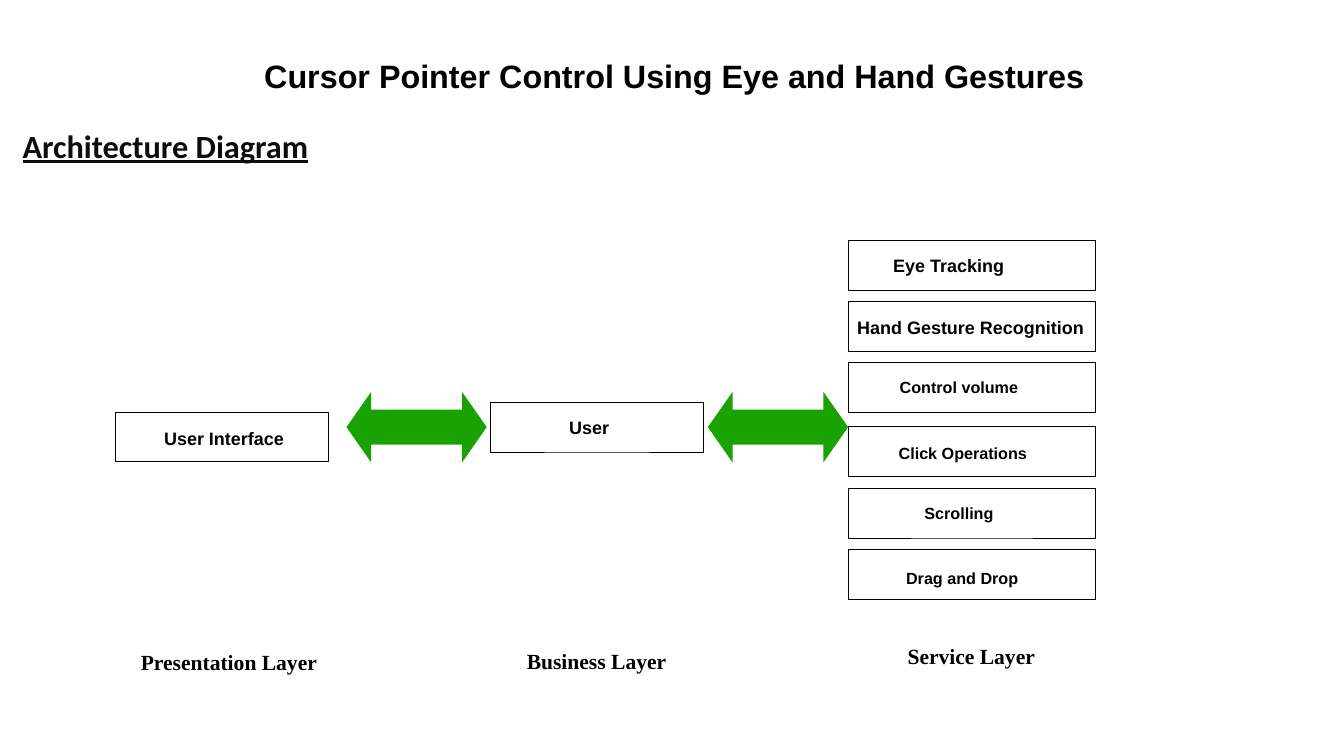
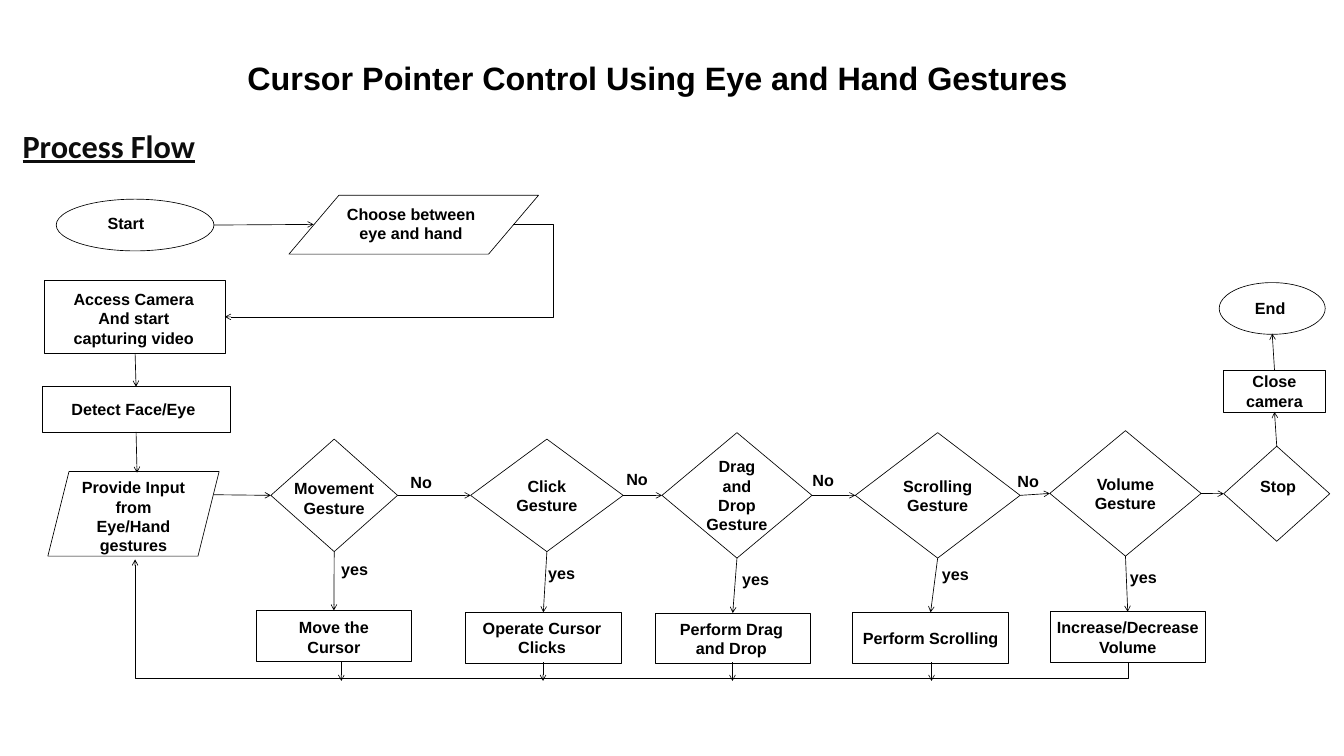
from lxml import etree
from pptx import Presentation
from pptx import util as u
from pptx.dml.color import RGBColor
from pptx.enum import shapes, text
from pptx.oxml.ns import qn

PX = 9144  # EMU per px, 100 px to the inch
BLACK = RGBColor(0x00, 0x00, 0x00)
HEADING = RGBColor(0x0D, 0x0D, 0x0D)
GREEN = RGBColor(0x18, 0xA3, 0x03)
TITLE = "Cursor Pointer Control Using Eye and Hand Gestures"
BODY_FONT = "Arial"
LAYER_FONT = "Times New Roman"

KIND = shapes.MSO_SHAPE
RECT, OVAL, DIAMOND = KIND.RECTANGLE, KIND.OVAL, KIND.DIAMOND
TOP, LEFT, BOTTOM, RIGHT = range(4)  # connection sites of rectangles and diamonds

# Architecture: label, left, top, width, height, text shift, font size
COMPONENTS = [
    ("User Interface", 179, 637, 329, 77, (3, 2), 20),
    ("User", 759, 622, 329, 77, (-12, 1), 20),
]
SERVICE_LEFT, SERVICE_WIDTH, SERVICE_HEIGHT = 1312, 383, 77
SERVICES = [  # label, top, text shift, font size
    ("Eye Tracking", 372, (-36, 0), 20),
    ("Hand Gesture Recognition", 466, (-2, 2), 20),
    ("Control volume", 560, (-20, 0), 18),
    ("Click Operations", 660, (-14, 2), 18),
    ("Scrolling", 755, (-20, 0), 18),
    ("Drag and Drop", 850, (-15, 5), 18),
]
EXCHANGE_LEFTS = (536, 1095)
LAYERS = [
    ("Presentation Layer", 208, 998, 295),
    ("Business Layer", 805, 997, 238),
    ("Service Layer", 1394, 990, 219),
]

# Process flow: kind, (left, top, width, height), lines, text shift
STEPS = {
    "start": (OVAL, (87, 308, 244, 80), "Start", (-14, -3)),
    "choose": (KIND.FLOWCHART_DATA, (447, 302, 386, 91),
               "Choose between\neye and hand", (-4, -2)),
    "access": (RECT, (69, 434, 280, 112),
               "Access Camera\nAnd start\ncapturing video", (-2, 2)),
    "detect": (RECT, (65, 598, 291, 70), "Detect Face/Eye", (-4, 0)),
    "input": (KIND.PARALLELOGRAM, (74, 729, 265, 131),
              "Provide Input\nfrom\nEye/Hand\ngestures", (0, 4)),
    "movement?": (DIAMOND, (419, 679, 196, 174), "Movement\nGesture", (0, 4)),
    "click?": (DIAMOND, (728, 679, 236, 174), "Click\nGesture", (0, 0)),
    "drag?": (DIAMOND, (1024, 669, 232, 194), "Drag\nand\nDrop\nGesture", (0, 0)),
    "scroll?": (DIAMOND, (1323, 669, 255, 194), "Scrolling\nGesture", (0, 0)),
    "volume?": (DIAMOND, (1624, 666, 234, 194), "Volume\nGesture", (0, 0)),
    "stop": (DIAMOND, (1893, 690, 164, 147), "Stop", (2, -12)),
    "movement": (RECT, (396, 944, 241, 78), "Move the\nCursor", (0, 2)),
    "click": (RECT, (720, 947, 241, 78), "Operate Cursor\nClicks", (-2, 0)),
    "drag": (RECT, (1013, 948, 241, 78), "Perform Drag\nand Drop", (-2, 0)),
    "scroll": (RECT, (1319, 947, 241, 78), "Perform Scrolling", (0, 0)),
    "volume": (RECT, (1624, 946, 241, 78), "Increase/Decrease\nVolume", (0, 0)),
    "close": (RECT, (1893, 572, 157, 65), "Close\ncamera", (0, 0)),
    "end": (OVAL, (1886, 437, 164, 80), "End", (-3, 0)),
}
DECISIONS = ["movement?", "click?", "drag?", "scroll?", "volume?"]
# An end is a (step, site) pair or an (x, y) point
FLOWS = [
    ((331, 348), (485, 347)),
    (("access", BOTTOM), ("detect", TOP)),
    (("detect", BOTTOM), (212, 731)),
    ((331, 765), ("movement?", LEFT)),
    (("stop", TOP), ("close", BOTTOM)),
    (("close", TOP), (1968, 516)),
]
FLOWS += [((a, RIGHT), (b, LEFT)) for a, b in zip(DECISIONS, DECISIONS[1:] + ["stop"])]
FLOWS += [((d, BOTTOM), (d.rstrip("?"), TOP)) for d in DECISIONS]
FLOWS += [((x, 1024), (x, 1053)) for x in (528, 840, 1133, 1441)]
ANSWERS = {
    "yes": (62, [(518, 860), (838, 866), (1138, 875), (1447, 868), (1738, 873)]),
    "No": (54, [(625, 725), (959, 721), (1247, 722), (1564, 724)]),
}


def px(*lengths):
    return [u.Emu(round(length * PX)) for length in lengths]


def write(frame, content, size, font=BODY_FONT, color=BLACK, align=None, underline=None):
    frame.text = content
    for paragraph in frame.paragraphs:
        paragraph.alignment = align
        paragraph.font.name, paragraph.font.size = font, u.Pt(size)
        paragraph.font.bold, paragraph.font.underline = True, underline
        paragraph.font.color.rgb = color


def add_label(slide, content, x, y, width, height, size, **style):
    frame = slide.shapes.add_textbox(*px(x, y, width, height)).text_frame
    frame.word_wrap = True
    write(frame, content, size, **style)


def add_node(slide, kind, box, content, shift, size=18):
    """Outlined shape; its centred text is moved by shift through the margins."""
    node = slide.shapes.add_shape(kind, *px(*box))
    node.shadow.inherit = False
    node.fill.background()
    node.line.color.rgb, node.line.width = BLACK, u.Pt(0.75)
    frame = node.text_frame
    frame.word_wrap = False
    frame.vertical_anchor = text.MSO_ANCHOR.MIDDLE
    dx, dy = shift
    frame.margin_left, frame.margin_right = px(10 + max(2 * dx, 0), 10 + max(-2 * dx, 0))
    frame.margin_top, frame.margin_bottom = px(5 + max(2 * dy, 0), 5 + max(-2 * dy, 0))
    write(frame, content, size, align=text.PP_ALIGN.CENTER)
    return node


def add_arrow(slide, kind, start, end):
    arrow = slide.shapes.add_connector(kind, *px(*start, *end))
    arrow.line.color.rgb, arrow.line.width = BLACK, u.Pt(0.75)
    outline = arrow._element.spPr.find(qn("a:ln"))
    etree.SubElement(outline, qn("a:tailEnd"), type="arrow")
    etree.SubElement(arrow._element.spPr, qn("a:effectLst"))
    return arrow


def add_elbow(slide, start, end, bend, upright=False):
    """Elbow arrow; bend is the middle leg's place as a share of the span.

    An upright elbow leaves its start vertically: it is laid out on its side
    about its centre and then turned a quarter.
    """
    if upright:
        cx, cy = (start[0] + end[0]) / 2, (start[1] + end[1]) / 2
        start, end = [(cx + y - cy, cy - x + cx) for x, y in (start, end)]
    elbow = add_arrow(slide, shapes.MSO_CONNECTOR.ELBOW, start, end)
    properties = elbow._element.spPr
    guides = properties.find(qn("a:prstGeom")).get_or_add_avLst()
    etree.SubElement(guides, qn("a:gd"), name="adj1", fmla=f"val {round(bend * 100000)}")
    if upright:
        properties.find(qn("a:xfrm")).set("rot", "5400000")


def add_flow(slide, nodes, start, end):
    def point(where):
        if where[0] not in nodes:
            return where
        name, site = where
        x, y, width, height = STEPS[name][1]
        return [(x + width / 2, y), (x, y + height / 2),
                (x + width / 2, y + height), (x + width, y + height / 2)][site]

    arrow = add_arrow(slide, shapes.MSO_CONNECTOR.STRAIGHT, point(start), point(end))
    if start[0] in nodes:
        arrow.begin_connect(nodes[start[0]], start[1])
    if end[0] in nodes:
        arrow.end_connect(nodes[end[0]], end[1])


def new_slide(deck, heading, title_x, title_y):
    slide = deck.slides.add_slide(deck.slide_layouts[5])
    title = slide.shapes.title
    title.left, title.top, title.width, title.height = px(title_x, title_y, 1725, 91)
    frame = title.text_frame
    frame.margin_left = frame.margin_right = frame.margin_top = frame.margin_bottom = 0
    frame.vertical_anchor = text.MSO_ANCHOR.MIDDLE
    frame.auto_size = text.MSO_AUTO_SIZE.NONE
    write(frame, TITLE, 36, align=text.PP_ALIGN.CENTER)
    add_label(slide, heading, 25, 190, 775, 70, 36,
              font="Calibri", color=HEADING, underline=True)
    return slide


def build_architecture(deck):
    slide = new_slide(deck, "Architecture Diagram", 181, 71)
    for x in EXCHANGE_LEFTS:
        exchange = slide.shapes.add_shape(KIND.LEFT_RIGHT_ARROW, *px(x, 606, 217, 109))
        exchange.adjustments[0], exchange.adjustments[1] = 0.5, 0.35
        exchange.shadow.inherit = False
        exchange.fill.solid()
        exchange.fill.fore_color.rgb = GREEN
        exchange.line.fill.background()
    for label, x, y, width, height, shift, size in COMPONENTS:
        add_node(slide, RECT, (x, y, width, height), label, shift, size)
    for label, y, shift, size in SERVICES:
        box = (SERVICE_LEFT, y, SERVICE_WIDTH, SERVICE_HEIGHT)
        add_node(slide, RECT, box, label, shift, size)
    for layer, x, y, width in LAYERS:
        add_label(slide, layer, x, y, width, 50, 24, font=LAYER_FONT)


def build_process_flow(deck):
    slide = new_slide(deck, "Process Flow", 155, 74)
    nodes = {name: add_node(slide, *step) for name, step in STEPS.items()}
    for start, end in FLOWS:
        add_flow(slide, nodes, start, end)
    add_elbow(slide, (794, 347), (348, 490), -0.14)
    add_elbow(slide, (1745, 1024), (209, 865), -0.16, upright=True)
    for answer, (width, places) in ANSWERS.items():
        for x, y in places:
            add_label(slide, answer, x, y, width, 40, 18)


def main():
    deck = Presentation()
    deck.slide_width, deck.slide_height = px(2079, 1169)
    build_architecture(deck)
    build_process_flow(deck)
    deck.save("out.pptx")


if __name__ == "__main__":
    main()
